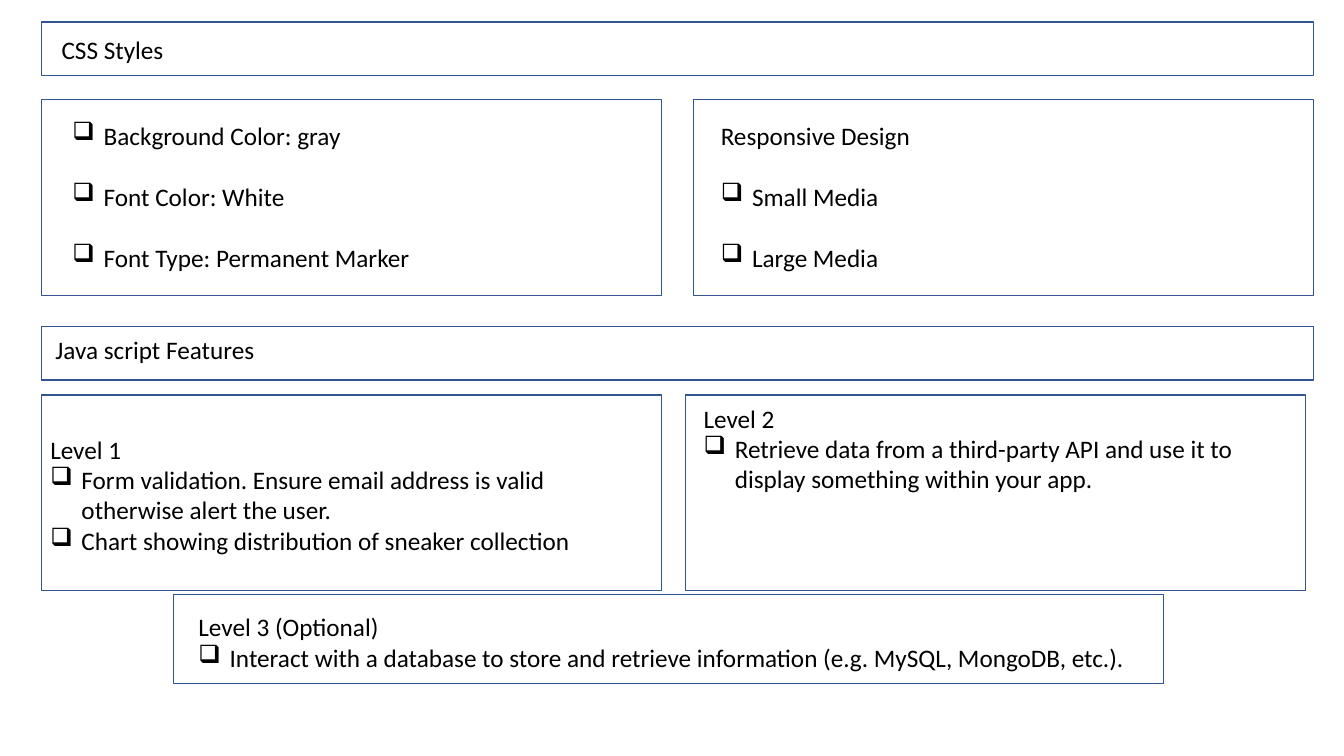
import pptx
import pptx.dml.color
import pptx.enum.shapes
import pptx.enum.text
import pptx.oxml.ns
import pptx.util
import lxml.etree

BLUE = pptx.dml.color.RGBColor(0x32, 0x54, 0x91)
BLACK = pptx.dml.color.RGBColor(0, 0, 0)

BULLET = "❑"
HEADER_LEFT, HEADER_WIDTH, HEADER_HEIGHT = 3.08, 94.67, 7.07
PANEL_WIDTH, PANEL_HEIGHT = 46.14, 25.87
LABEL_WIDTH, LABEL_HEIGHT, LIST_WIDTH = 19.95, 5.33, 43.59
STYLE_ROW, LEVEL_ROW = 13.2, 52.27
LINE_GAP = 22

FRAMES = [
    (HEADER_LEFT, 2.93, HEADER_WIDTH, HEADER_HEIGHT),
    (HEADER_LEFT, STYLE_ROW, PANEL_WIDTH, PANEL_HEIGHT),
    (51.61, STYLE_ROW, PANEL_WIDTH, PANEL_HEIGHT),
    (HEADER_LEFT, 43.2, HEADER_WIDTH, HEADER_HEIGHT),
    (HEADER_LEFT, LEVEL_ROW, PANEL_WIDTH, PANEL_HEIGHT),
    (51.01, LEVEL_ROW, PANEL_WIDTH, PANEL_HEIGHT),
    (12.9, 78.67, 73.67, 11.73),
]

TEXTS = [
    ((4.65, 15.2, LIST_WIDTH, 37.73), None,
     ["Background Color: gray", "Font Color: White",
      "Font Type: Permanent Marker"], LINE_GAP),
    ((52.89, 15.2, LIST_WIDTH, 37.73), "Responsive Design",
     ["Small Media", "Large Media"], LINE_GAP),
    ((3.38, 43.6, LABEL_WIDTH, LABEL_HEIGHT), "Java script Features", [], 0),
    ((3, 56.8, LIST_WIDTH, 41.73), "Level 1",
     ["Form validation. Ensure email address is valid otherwise alert the user.",
      "Chart showing distribution of sneaker collection"], 0),
    ((51.61, 52.67, LIST_WIDTH, 33.6), "Level 2",
     ["Retrieve data from a third-party API and use it to display something "
      "within your app."], 0),
    ((14.03, 80.27, 72.62, 19.73), "Level 3 (Optional)",
     ["Interact with a database to store and retrieve information "
      "(e.g. MySQL, MongoDB, etc.)."], 0),
]


def apply_format(target, values):
    for name, value in values.items():
        setattr(target, name, value)


class SlideBuilder:
    font_format = {"name": "Calibri", "size": pptx.util.Pt(18), "bold": False}
    frame_format = {
        "word_wrap": True,
        "auto_size": pptx.enum.text.MSO_AUTO_SIZE.SHAPE_TO_FIT_TEXT,
        "vertical_anchor": pptx.enum.text.MSO_ANCHOR.TOP,
    }
    paragraph_format = {
        "alignment": pptx.enum.text.PP_ALIGN.LEFT,
        "line_spacing": 1.0,
        "space_before": pptx.util.Pt(0),
    }

    def __init__(self, presentation):
        self.width = presentation.slide_width
        self.height = presentation.slide_height
        self.slide = presentation.slides.add_slide(presentation.slide_layouts[5])

    def place(self, area):
        extents = (self.width, self.height) * 2
        return [round(share * extent / 100) for share, extent in zip(area, extents)]

    def fill_paragraph(self, paragraph, text, gap=0):
        apply_format(paragraph, self.paragraph_format)
        paragraph.space_after = pptx.util.Pt(gap)
        run = paragraph.add_run()
        run.text = text
        apply_format(run.font, self.font_format)
        run.font.color.rgb = BLACK

    def title(self, area, text):
        shape = self.slide.shapes.title
        apply_format(shape, dict(zip(("left", "top", "width", "height"),
                                     self.place(area))))
        apply_format(shape.text_frame, self.frame_format)
        self.fill_paragraph(shape.text_frame.paragraphs[0], text)

    def frame(self, area):
        shape = self.slide.shapes.add_shape(
            pptx.enum.shapes.MSO_SHAPE.RECTANGLE, *self.place(area))
        shape.shadow.inherit = False
        shape.fill.background()
        shape.line.color.rgb = BLUE
        shape.line.width = pptx.util.Pt(1)

    def add_bullet(self, paragraph):
        properties = paragraph._p.get_or_add_pPr()
        indent = pptx.util.Inches(0.31)
        properties.set("marL", str(indent))
        properties.set("indent", str(-indent))
        mark = lxml.etree.SubElement(properties, pptx.oxml.ns.qn("a:buChar"))
        mark.set("char", BULLET)

    def text(self, area, heading, items, gap):
        text_frame = self.slide.shapes.add_textbox(*self.place(area)).text_frame
        apply_format(text_frame, self.frame_format)
        lines = ([heading] if heading else []) + items
        for index, line in enumerate(lines):
            paragraph = text_frame.add_paragraph() if index else text_frame.paragraphs[0]
            self.fill_paragraph(paragraph, line, gap if index < len(lines) - 1 else 0)
            if line != heading:
                self.add_bullet(paragraph)


def main():
    presentation = pptx.Presentation()
    presentation.slide_width = pptx.util.Inches(13.33)
    presentation.slide_height = pptx.util.Inches(7.5)
    builder = SlideBuilder(presentation)
    builder.title((3.83, 3.87, LABEL_WIDTH, LABEL_HEIGHT), "CSS Styles")
    for area in FRAMES:
        builder.frame(area)
    for area, heading, items, gap in TEXTS:
        builder.text(area, heading, items, gap)
    presentation.save("out.pptx")


if __name__ == "__main__":
    main()
